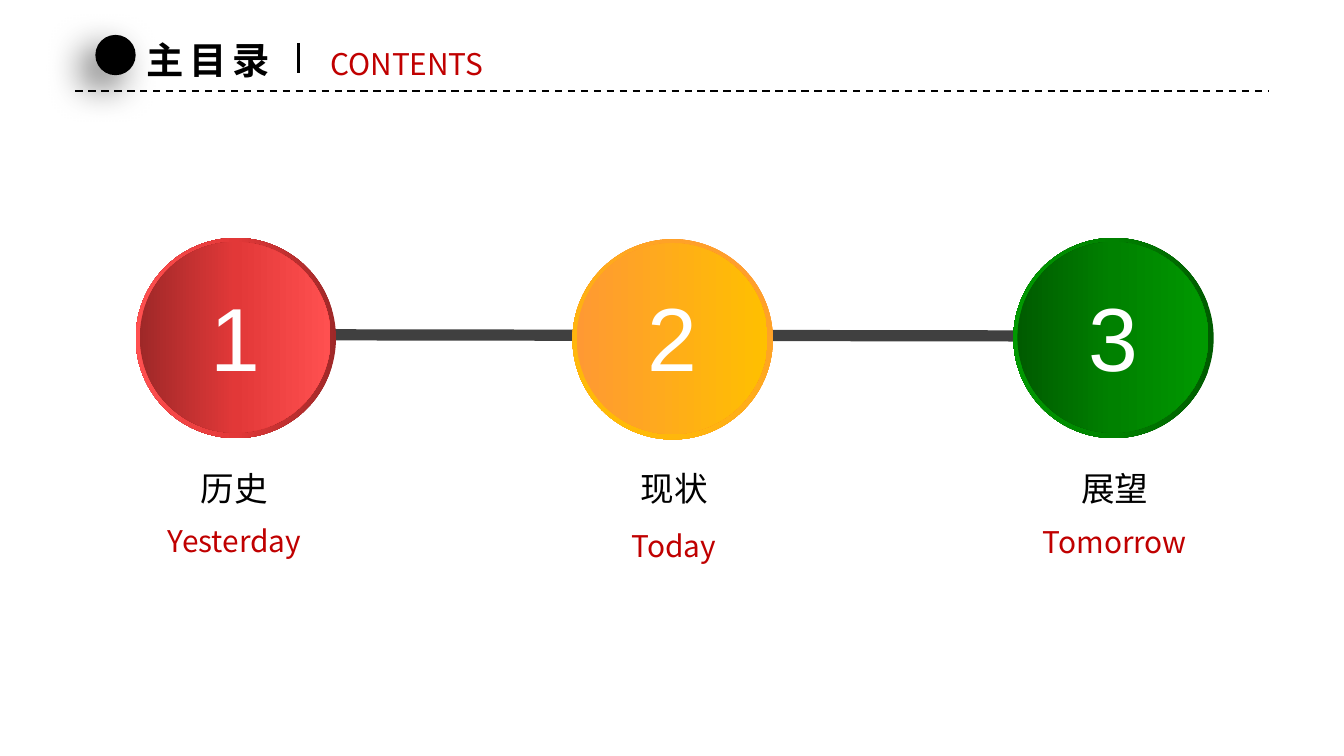
from lxml import etree
from pptx import Presentation
from pptx.dml.color import RGBColor
from pptx.enum.dml import MSO_LINE
from pptx.enum.shapes import MSO_CONNECTOR, MSO_SHAPE
from pptx.enum.text import MSO_AUTO_SIZE, PP_ALIGN
from pptx.oxml.ns import qn
from pptx.util import Inches, Pt

CIRCLE = MSO_SHAPE.OVAL
RING = MSO_SHAPE.DONUT
STRAIGHT = MSO_CONNECTOR.STRAIGHT
DASH = MSO_LINE.DASH
GROW = MSO_AUTO_SIZE.SHAPE_TO_FIT_TEXT
LEFT, CENTER = PP_ALIGN.LEFT, PP_ALIGN.CENTER

COLUMNS, ROWS = 100, 56.25
COLORS = {"ink": "000000", "accent": "C00000", "number": "FFFFFF", "track": "404040"}
GRADIENTS = {
    "red": ["9F2828", "E23838", "FF5050"],
    "orange": ["FF9933", "FFC000"],
    "green": ["005B00", "008100", "009900"],
}
CHINESE, ENGLISH, DIGIT = "Noto Sans CJK SC", "Noto Sans CJK JP", "Arial"


def cells(*counts):
    return [Inches(count / 10) for count in counts]


class ContentsSlide:
    def __init__(self, deck):
        self.slide = deck.slides.add_slide(deck.slide_layouts[6])
        self.shapes = self.slide.shapes

    def start_group(self):
        self.shapes = self.slide.shapes.add_group_shape().shapes

    def stroke(self, line, color, width):
        line.color.rgb = RGBColor.from_string(COLORS[color])
        line.width = Pt(width)

    def track(self, start, end):
        builder = self.shapes.build_freeform(*cells(*start))
        builder.add_line_segments([cells(*end)], close=False)
        track = builder.convert_to_shape()
        track.shadow.inherit = False
        track.fill.background()
        self.stroke(track.line, "track", 6)

    def rule(self, start, end, width, dash=None):
        rule = self.shapes.add_connector(STRAIGHT, *cells(*start, *end))
        self.stroke(rule.line, "ink", width)
        if dash:
            rule.line.dash_style = dash
        etree.SubElement(rule._element.spPr, qn("a:effectLst"))

    def shape(self, kind, left, top, size):
        shape = self.shapes.add_shape(kind, *cells(left, top, size, size))
        shape.shadow.inherit = False
        shape.line.fill.background()
        return shape

    def bullet(self, left, top, size):
        bullet = self.shape(CIRCLE, left, top, size)
        bullet.fill.solid()
        bullet.fill.fore_color.rgb = RGBColor.from_string(COLORS["ink"])
        effects = bullet._element.spPr.find(qn("a:effectLst"))
        shadow = etree.SubElement(
            effects, qn("a:outerShdw"), blurRad=str(Pt(20)), dist=str(Pt(10)),
            dir="8100000", algn="tr", rotWithShape="0")
        tint = etree.SubElement(shadow, qn("a:srgbClr"), val=COLORS["ink"])
        etree.SubElement(tint, qn("a:alpha"), val="60000")

    def gradient(self, shape, hues, clockwise):
        shape.fill.gradient()
        shape.fill.gradient_angle = -clockwise % 360
        stops = shape._element.spPr.find(qn("a:gradFill")).find(qn("a:gsLst"))
        for stop in list(stops):
            stops.remove(stop)
        for index, hue in enumerate(hues):
            position = 100000 * index // (len(hues) - 1)
            stop = etree.SubElement(stops, qn("a:gs"), pos=str(position))
            etree.SubElement(stop, qn("a:srgbClr"), val=hue)

    def text(self, words, place, size, face, color, align=CENTER, bold=False, spacing=0):
        box = self.shapes.add_textbox(*cells(*place))
        frame = box.text_frame
        frame.text = words
        frame.word_wrap = align == CENTER
        frame.auto_size = GROW
        paragraph = frame.paragraphs[0]
        paragraph.alignment = align
        run = paragraph.runs[0]
        run.font.size = Pt(size)
        run.font.bold = bold
        run.font.name = face
        run.font.color.rgb = RGBColor.from_string(COLORS[color])
        properties = run._r.get_or_add_rPr()
        etree.SubElement(properties, qn("a:ea"), typeface=face)
        if spacing:
            properties.set("spc", str(spacing * 100))

    def medallion(self, number, left, top, hues, ring_angle):
        self.start_group()
        ring = self.shape(RING, left, top, 14.9)
        ring.adjustments[0] = 0.05
        self.gradient(ring, hues, ring_angle)
        self.gradient(self.shape(CIRCLE, left + 0.3, top + 0.3, 14.2), hues, 0)
        self.text(number, (left, 20.5, 14.9, 9.1), 48, DIGIT, "number")

    def caption(self, chinese, english, left, english_top):
        self.start_group()
        self.text(chinese, (left, 34.3, 14.9, 4), 18, CHINESE, "ink")
        self.text(english, (left, english_top, 14.9, 3.7), 16, ENGLISH, "accent")


def main():
    deck = Presentation()
    deck.slide_width, deck.slide_height = cells(COLUMNS, ROWS)
    contents = ContentsSlide(deck)

    contents.track((17.4, 24.9), (79.6, 25))
    contents.rule((5.6, 6.8), (94.4, 6.8), 1, DASH)
    contents.bullet(7.1, 2.6, 3)
    contents.text("主目录", (9.9, 2.3, 11.7, 4.4), 20, CHINESE, "ink", LEFT, True, 3)
    contents.text("CONTENTS", (23.6, 2.9, 14.2, 3.7), 16, ENGLISH, "accent", LEFT)
    contents.rule((22.2, 3.2), (22.2, 5.4), 1.5)

    stages = [
        ("1", 10.1, 17.7, "red", 180, "历史", "Yesterday", 10, 38.4),
        ("2", 42.6, 17.8, "orange", 130, "现状", "Today", 42.7, 38.8),
        ("3", 75.4, 17.7, "green", 180, "展望", "Tomorrow", 75.5, 38.5),
    ]
    for number, left, top, hue, angle, chinese, english, caption_left, english_top in stages:
        contents.medallion(number, left, top, GRADIENTS[hue], angle)
        contents.caption(chinese, english, caption_left, english_top)

    deck.save("out.pptx")


if __name__ == "__main__":
    main()
